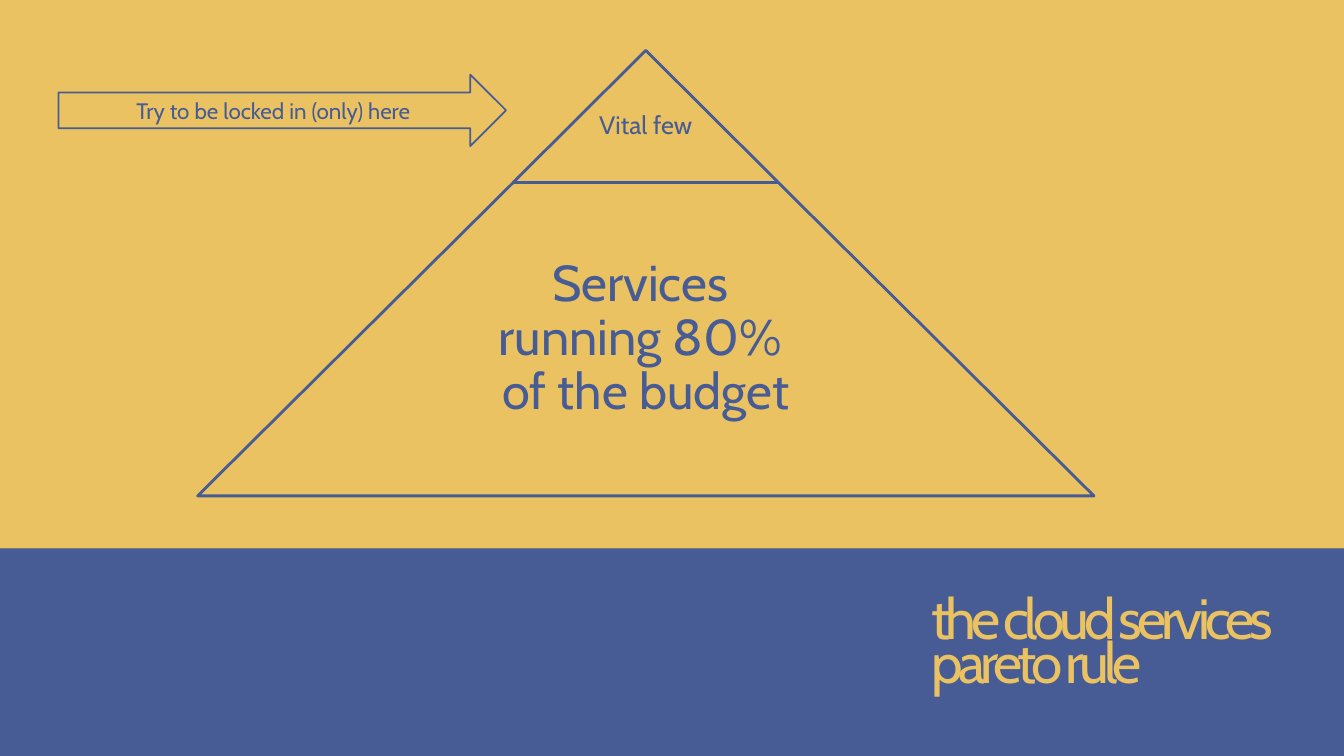
from pptx import Presentation
from pptx.dml.color import RGBColor
from pptx.enum.shapes import MSO_SHAPE
from pptx.enum.text import MSO_ANCHOR, PP_ALIGN
from pptx.util import Inches, Pt

BLUE = RGBColor(0x47, 0x5C, 0x95)
GOLD = RGBColor(0xEA, 0xC2, 0x62)
NAVY = RGBColor(0x28, 0x36, 0x65)
FONT = "Cabin"

SLIDE_WIDTH, SLIDE_HEIGHT = 13.33, 7.5
BAND_TOP = 5.44

TITLE = "the cloud services pareto rule"
ARROW_TEXT = "Try to be locked in (only) here"
# text, font size, width at the base, height, inset above the text
TIERS = [
    ("Vital few", 18, 2.63, 1.31, 0.25),
    ("Services \vrunning 80% \vof the budget", 36, 8.89, 3.11, 0.05),
]
PYRAMID_CENTER, PYRAMID_TOP = 6.405, 0.5
SIDE_SLOPE = 1.007
LABEL_WIDTHS = [2.63, 5.78]


def add_panel(slide, preset, left, top, width, height, fill, line_width=None):
    shape = slide.shapes.add_shape(
        preset, Inches(left), Inches(top), Inches(width), Inches(height))
    shape.shadow.inherit = False
    shape.fill.solid()
    shape.fill.fore_color.rgb = fill
    if line_width:
        shape.line.color.rgb = BLUE
        shape.line.width = Pt(line_width)
    else:
        shape.line.fill.background()
    return shape


def write(shape, text, size, color, anchor, align, spacing=1.0):
    frame = shape.text_frame
    frame.word_wrap = True
    frame.vertical_anchor = anchor
    paragraph = frame.paragraphs[0]
    paragraph.text = text
    paragraph.alignment = align
    paragraph.line_spacing = spacing
    paragraph.font.name = FONT
    paragraph.font.size = Pt(size)
    paragraph.font.color.rgb = color
    return paragraph


def add_label(slide, left, top, width, height, insets):
    """Add an empty text box; insets are (sides, top, bottom)."""
    box = slide.shapes.add_textbox(
        Inches(left), Inches(top), Inches(width), Inches(height))
    frame = box.text_frame
    sides, above, below = map(Inches, insets)
    frame.margin_left = frame.margin_right = sides
    frame.margin_top, frame.margin_bottom = above, below
    return box


def add_pyramid(slide):
    top = PYRAMID_TOP
    for (text, size, width, height, inset), label_width in zip(TIERS, LABEL_WIDTHS):
        tier = add_panel(slide, MSO_SHAPE.TRAPEZOID, PYRAMID_CENTER - width / 2,
                         top, width, height, GOLD, 2)
        tier.adjustments[0] = SIDE_SLOPE
        label = add_label(slide, PYRAMID_CENTER - label_width / 2, top,
                          label_width, height, (0.05, inset, 0.05))
        write(label, text, size, BLUE, MSO_ANCHOR.MIDDLE, PP_ALIGN.CENTER, 0.9)
        top += height


def main():
    presentation = Presentation()
    presentation.slide_width = Inches(SLIDE_WIDTH)
    presentation.slide_height = Inches(SLIDE_HEIGHT)
    slide = presentation.slides.add_slide(presentation.slide_layouts[6])
    slide.background.fill.solid()
    slide.background.fill.fore_color.rgb = NAVY

    add_panel(slide, MSO_SHAPE.RECTANGLE, 0, BAND_TOP, SLIDE_WIDTH,
              SLIDE_HEIGHT - BAND_TOP, BLUE)
    add_panel(slide, MSO_SHAPE.RECTANGLE, 0, 0, SLIDE_WIDTH, BAND_TOP, GOLD)
    add_pyramid(slide)

    title = add_label(slide, 9.2, 5.72, 3.79, 1.2, (0.04, 0.05, 0.05))
    paragraph = write(title, TITLE, 40.5, GOLD, MSO_ANCHOR.BOTTOM,
                      PP_ALIGN.LEFT, 0.65)
    # Tighten the letters by 3.5 points
    paragraph.runs[0].font._element.set("spc", "-350")

    arrow = add_panel(slide, MSO_SHAPE.RIGHT_ARROW, 0.58, 0.74, 4.44, 0.71,
                      GOLD, 1.25)
    write(arrow, ARROW_TEXT, 16, BLUE, MSO_ANCHOR.MIDDLE, PP_ALIGN.CENTER)

    presentation.save("out.pptx")


if __name__ == "__main__":
    main()
